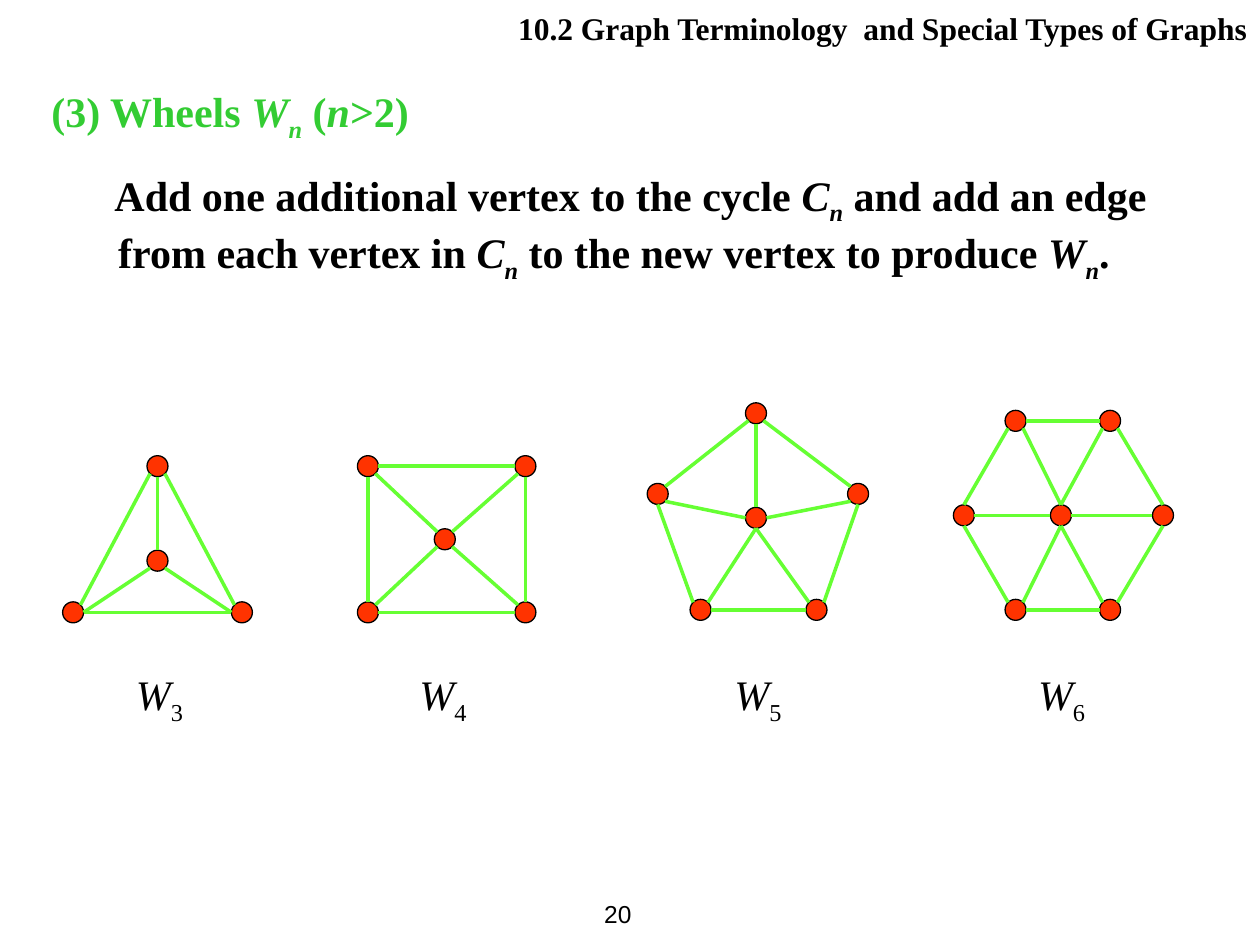
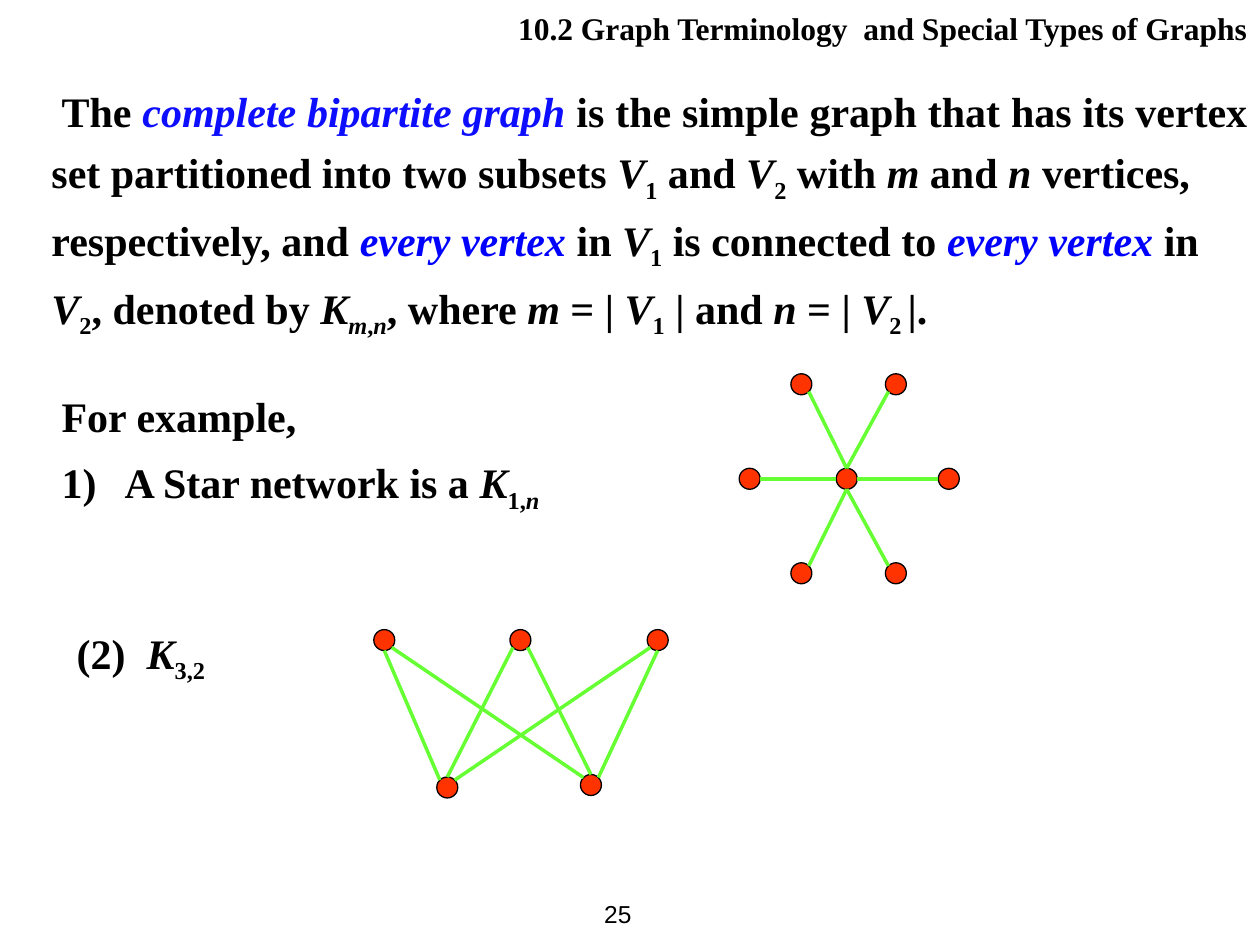
from dataclasses import dataclass
from math import cos, radians, sin
from typing import NamedTuple

from lxml.etree import SubElement
from pptx import Presentation
from pptx.dml.color import RGBColor
from pptx.enum.shapes import MSO_CONNECTOR, MSO_SHAPE
from pptx.enum.text import MSO_ANCHOR, PP_ALIGN
from pptx.oxml.ns import qn
from pptx.slide import Slide
from pptx.util import Inches, Pt


@dataclass(frozen=True)
class Theme:
    serif: str = "Times New Roman"
    sans: str = "Arial"
    body: float = 24
    header: float = 18
    number: float = 14
    text: str = "000000"
    heading: str = "33CC33"
    term: str = "0D0DFF"
    emphasis: str = "0000FF"
    vertex: str = "FF3300"
    edge: str = "66FF33"
    outline_width: float = 0.75
    edge_width: float = 2


THEME = Theme()


# Text model
class Span(NamedTuple):
    text: str
    italic: bool = False
    sub: bool = False
    color: str = THEME.text


@dataclass
class Para:
    spans: list[Span]
    before: float = 0
    margin: float = 0
    indent: float = 0
    align: PP_ALIGN = PP_ALIGN.LEFT
    numbered: bool = False


@dataclass
class TextBlock:
    left: float
    top: float
    width: float
    height: float
    paras: list[Para]
    size: float = THEME.body
    font: str = THEME.serif
    bold: bool = True
    anchor: MSO_ANCHOR = MSO_ANCHOR.TOP


def it(text: str, color: str = THEME.text) -> Span:
    return Span(text, italic=True, color=color)


def sub(text: str, italic: bool = False) -> Span:
    return Span(text, italic, sub=True)


# Graph model: an edge "a.NE-b.SW" joins compass points of two vertices
@dataclass
class Graph:
    vertices: dict[str, tuple[float, float]]
    edges: str
    origin: tuple[float, float] = (0, 0)


RADIUS = 1 / 12
COMPASS = {point: radians(45 * i) for i, point in
           enumerate(("E", "SE", "S", "SW", "W", "NW", "N", "NE"))}

HEXAGON = {"bl": (-0.36, 0.75), "br": (0.39, 0.75), "l": (-0.77, 0), "r": (0.81, 0),
           "tl": (-0.36, -0.75), "tr": (0.39, -0.75), "hub": (0, 0)}
HEXAGON_RIM = "l.S-bl.NW bl.E-br.W br.NE-r.S r.N-tr.SE l.N-tl.SW tl.E-tr.W"
HEXAGON_SPOKES = "bl.NE-hub.S br.NW-hub.S l.E-hub.W hub.E-r.W hub.N-tl.SE hub.N-tr.SW"

WHEELS = [
    # W3
    Graph({"bl": (0.58, 4.86), "br": (1.92, 4.86), "t": (1.25, 3.7), "hub": (1.25, 4.45)},
          "bl.NE-t.SW bl.E-br.W br.NW-t.SE bl.E-hub.SW br.W-hub.SE hub.N-t.S"),
    # W4
    Graph({"bl": (2.92, 4.86), "br": (4.17, 4.86), "tl": (2.92, 3.7), "tr": (4.17, 3.7),
           "hub": (3.53, 4.28)},
          "bl.N-tl.S tl.E-tr.W tr.S-br.N bl.E-br.W "
          "bl.NE-hub.SW hub.NW-tl.SE hub.NE-tr.SW hub.SE-br.NW"),
    # W5
    Graph({"bl": (5.56, 4.84), "br": (6.48, 4.84), "l": (5.22, 3.92), "r": (6.81, 3.92),
           "t": (6, 3.28), "hub": (6, 4.11)},
          "l.S-bl.NW bl.E-br.W br.NE-r.S r.NW-t.SE l.NE-t.SW "
          "bl.NE-hub.S br.NW-hub.S l.SE-hub.W hub.E-r.SW hub.N-t.S"),
    # W6
    Graph(HEXAGON, f"{HEXAGON_RIM} {HEXAGON_SPOKES}", (8.42, 4.09)),
]
BIPARTITE = [
    # Star network
    Graph(HEXAGON, HEXAGON_SPOKES, (6.72, 3.8)),
    # K3,2
    Graph({"b1": (3.55, 6.25), "b2": (4.69, 6.23),
           "t1": (3.05, 5.08), "t2": (4.13, 5.08), "t3": (5.22, 5.08)},
          "t1.S-b1.NW t2.SW-b1.N b2.NE-t3.S t3.SW-b1.NE t1.SE-b2.NW t2.SE-b2.N"),
]


# Drawing
def draw_text(s: Slide, block: TextBlock) -> None:
    sp = s.shapes.add_textbox(*map(Inches, (block.left, block.top, block.width, block.height)))
    tf = sp.text_frame
    tf.word_wrap = True
    tf.vertical_anchor = block.anchor
    for i, para in enumerate(block.paras):
        p = tf.add_paragraph() if i else tf.paragraphs[0]
        p.alignment = para.align
        p.space_before = Pt(para.before)
        pPr = p._p.get_or_add_pPr()
        pPr.set("marL", str(Inches(para.margin)))
        pPr.set("indent", str(Inches(para.indent)))
        if para.numbered:
            SubElement(pPr, qn("a:buFont"), typeface=block.font)
            SubElement(pPr, qn("a:buAutoNum"), type="arabicParenR")
        for span in para.spans:
            r = p.add_run()
            r.text = span.text
            r.font.name = block.font
            r.font.size = Pt(block.size)
            r.font.bold = block.bold
            r.font.italic = span.italic
            r.font.color.rgb = RGBColor.from_string(span.color)
            if span.sub:
                r._r.get_or_add_rPr().set("baseline", "-25000")


def draw_graph(s: Slide, graph: Graph) -> None:
    ox, oy = graph.origin
    centers = {name: (ox + x, oy + y) for name, (x, y) in graph.vertices.items()}

    def port(end: str) -> tuple[Inches, Inches]:
        name, point = end.split(".")
        x, y = centers[name]
        angle = COMPASS[point]
        return Inches(x + RADIUS * cos(angle)), Inches(y + RADIUS * sin(angle))

    for x, y in centers.values():
        sp = s.shapes.add_shape(MSO_SHAPE.FLOWCHART_CONNECTOR, Inches(x - RADIUS),
                                Inches(y - RADIUS), Inches(2 * RADIUS), Inches(2 * RADIUS))
        sp.shadow.inherit = False
        sp.fill.solid()
        sp.fill.fore_color.rgb = RGBColor.from_string(THEME.vertex)
        sp.line.color.rgb = RGBColor.from_string(THEME.text)
        sp.line.width = Pt(THEME.outline_width)
    for edge in graph.edges.split():
        start, end = edge.split("-")
        line = s.shapes.add_connector(MSO_CONNECTOR.STRAIGHT, *port(start), *port(end))
        line.line.color.rgb = RGBColor.from_string(THEME.edge)
        line.line.width = Pt(THEME.edge_width)
        SubElement(line._element.spPr, qn("a:effectLst"))


def add_slide(prs: Presentation, number: int, blocks: list[TextBlock],
              graphs: list[Graph]) -> None:
    s = prs.slides.add_slide(prs.slide_layouts[6])
    header = Para([Span("10.2 Graph Terminology  and Special Types of Graphs")],
                  before=11.2, align=PP_ALIGN.RIGHT)
    page = Para([Span(str(number))], align=PP_ALIGN.RIGHT)
    draw_text(s, TextBlock(4.44, 7, 0.67, 0.5, [page], THEME.number, THEME.sans,
                           bold=False, anchor=MSO_ANCHOR.MIDDLE))
    for block in blocks:
        draw_text(s, block)
    for graph in graphs:
        draw_graph(s, graph)
    draw_text(s, TextBlock(3.98, 0.02, 6.02, 0.7, [header], THEME.header))


# Slide contents
def wheel_blocks() -> list[TextBlock]:
    green = THEME.heading
    title = Para([Span("(3) Wheels ", color=green), it("W", green),
                  Span("n", True, True, green), Span(" (", color=green), it("n", green),
                  Span(">2)", color=green)], margin=0.53, indent=-0.53)
    rule = Para([Span("Add one additional vertex to the cycle "), it("C"), sub("n", True),
                 Span(" and add an edge from each vertex in "), it("C"), sub("n", True),
                 Span(" to the new vertex to produce "), it("W"), sub("n", True), Span(".")],
                before=15, margin=0.53, indent=-0.03)
    labels = [TextBlock(left, 5.26, 0.9, 0.56, [Para([it("W"), sub(str(n))], before=15)],
                        bold=False)
              for n, left in enumerate((0.98, 3.23, 5.73, 8.14), start=3)]
    return [TextBlock(0.31, 0.63, 9.21, 1.68, [title, rule]), *labels]


def bipartite_blocks() -> list[TextBlock]:
    v1, v2 = [it("V"), sub("1")], [it("V"), sub("2")]
    every = it("every vertex", THEME.emphasis)
    lines = [
        [Span(" The "), it("complete bipartite graph ", THEME.term),
         Span("is the simple graph that has its vertex ")],
        [Span("set partitioned into two subsets "), *v1, Span(" and "), *v2, Span(" with "),
         it("m "), Span("and "), it("n"), Span(" vertices,")],
        [Span("respectively, and "), every, Span(" in "), *v1, Span(" is connected to "),
         every, Span(" in")],
        [*v2, Span(", denoted by "), it("K"), sub("m", True), sub(","), sub("n", True),
         Span(", where "), it("m "), Span("= | "), *v1, Span(" | and "),
         it("n "), Span("= | "), it("V"), sub("2 "), Span("|.")],
    ]
    definition = [Para(spans, 6, 0.53, -0.53, PP_ALIGN.JUSTIFY) for spans in lines]
    star = [Para([Span("For example,")], 9, 0.5, -0.5),
            Para([Span("A Star network is a "), it("K"), sub("1,"), sub("n", True)],
                 9, 0.5, -0.5, PP_ALIGN.JUSTIFY, numbered=True)]
    k32 = Para([Span("(2)  "), it("K"), sub("3,2")], 9, 0.5, -0.5, PP_ALIGN.JUSTIFY)
    return [TextBlock(0.31, 0.63, 9.69, 2.12, definition),
            TextBlock(0.39, 3.05, 9.08, 1.52, star),
            TextBlock(0.51, 4.93, 9.08, 0.56, [k32])]


def main() -> None:
    prs = Presentation()
    prs.slide_width, prs.slide_height = Inches(10), Inches(7.5)
    add_slide(prs, 20, wheel_blocks(), WHEELS)
    add_slide(prs, 25, bipartite_blocks(), BIPARTITE)
    prs.save("out.pptx")


if __name__ == "__main__":
    main()
